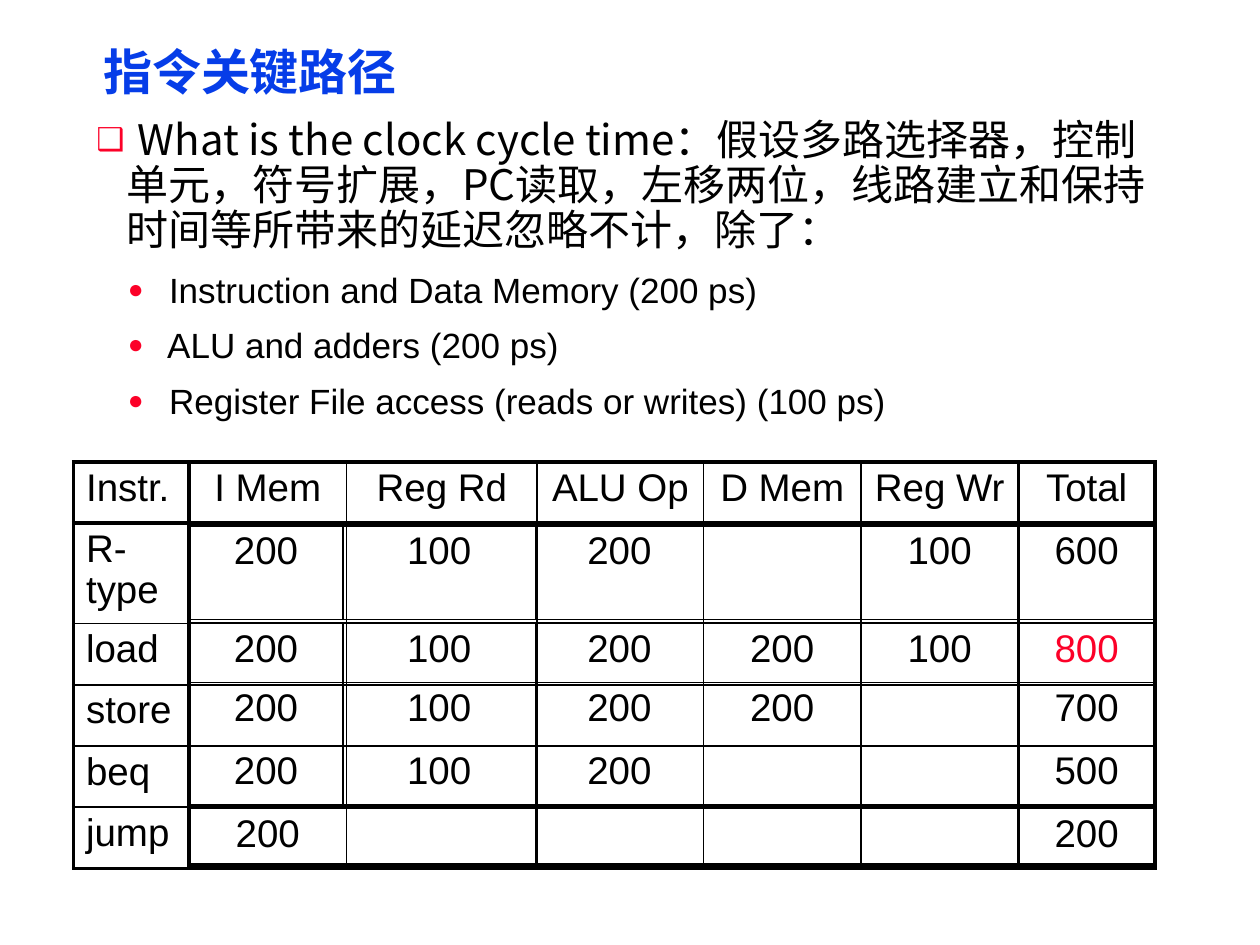
import dataclasses

import lxml.etree
import pptx
import pptx.dml.color
import pptx.enum.text
import pptx.oxml.ns
import pptx.util

Pt = pptx.util.Pt
qn = pptx.oxml.ns.qn


@dataclasses.dataclass(frozen=True)
class Theme:
    blue: str = "063DE8"
    red: str = "FC0128"
    black: str = "000000"
    latin: str = "Arial"
    cjk: str = "Noto Sans CJK SC"
    title: int = 28
    body: int = 24
    bullet: int = 20
    cell: int = 22
    thin: float = 1
    thick: float = 2.25


class SlideBuilder:
    def __init__(self, s, theme):
        self.s = s
        self.theme = theme

    def style_run(self, r, size, color, font=None, bold=False):
        r.font.size = Pt(size)
        r.font.bold = bold
        r.font.name = font or self.theme.latin
        r.font.color.rgb = pptx.dml.color.RGBColor.from_string(color)
        ea = lxml.etree.SubElement(r.font._element, qn("a:ea"))
        ea.set("typeface", self.theme.cjk)

    def text_box(self, left, top, width, height, insets):
        """Insets are left, top, right, bottom."""
        tf = self.s.shapes.add_textbox(Pt(left), Pt(top), Pt(width), Pt(height)).text_frame
        tf.word_wrap = True
        tf.margin_left, tf.margin_top, tf.margin_right, tf.margin_bottom = map(Pt, insets)
        return tf

    def bullet(self, p, char, margin, hang):
        pPr = p._p.get_or_add_pPr()
        pPr.set("marL", str(Pt(margin)))
        pPr.set("indent", str(-Pt(hang)))
        color = lxml.etree.SubElement(pPr, qn("a:buClr"))
        lxml.etree.SubElement(color, qn("a:srgbClr")).set("val", self.theme.red)
        lxml.etree.SubElement(pPr, qn("a:buSzPct")).set("val", "75000")
        lxml.etree.SubElement(pPr, qn("a:buFont")).set("typeface", self.theme.latin)
        lxml.etree.SubElement(pPr, qn("a:buChar")).set("char", char)

    def title(self, text):
        t = self.theme
        tf = self.text_box(54, 24, 618, 33.5, (5, 4, 5, 2))
        tf.text = text
        p = tf.paragraphs[0]
        p.line_spacing = Pt(29.2)
        self.style_run(p.runs[0], t.title, t.blue, bold=True)

    def body(self, question, delays):
        t = self.theme
        tf = self.text_box(48, 62, 618, 183.5, (7.2, 6.2, 7.2, 3.6))
        p = tf.paragraphs[0]
        p.line_spacing = Pt(25.7)
        self.bullet(p, "❑", 17, 17)
        for text, font in ((" ", t.latin), (question, t.cjk)):
            r = p.add_run()
            r.text = text
            self.style_run(r, t.body, t.black, font)
        for delay in delays:
            p = tf.add_paragraph()
            p.text = " " + delay
            p.level = 1
            p.line_spacing = 0.85
            p.space_before = Pt(11.5)
            self.bullet(p, "●", 36, 18)
            self.style_run(p.runs[0], t.bullet, t.black)

    def border(self, cell, side, width):
        ln = lxml.etree.SubElement(cell._tc.get_or_add_tcPr(), qn("a:ln" + side))
        ln.set("w", str(Pt(width)))
        fill = lxml.etree.SubElement(ln, qn("a:solidFill"))
        lxml.etree.SubElement(fill, qn("a:srgbClr")).set("val", self.theme.black)

    def table(self, left, top, cols, heights, rows, thick_x, thick_y,
              left_cols=0, red_text=None):
        """thick_x and thick_y number the heavy grid lines, counted from 0."""
        t = self.theme
        table = self.s.shapes.add_table(len(rows), len(cols), Pt(left), Pt(top),
                                        Pt(sum(cols)), Pt(sum(heights))).table
        table.first_row = table.horz_banding = False
        for column, width in zip(table.columns, cols):
            column.width = Pt(width)
        for row, height in zip(table.rows, heights):
            row.height = Pt(height)
        for y, texts in enumerate(rows):
            for x, text in enumerate(texts):
                cell = table.cell(y, x)
                for side, line, thick in (("L", x, thick_x), ("R", x + 1, thick_x),
                                          ("T", y, thick_y), ("B", y + 1, thick_y)):
                    self.border(cell, side, t.thick if line in thick else t.thin)
                cell.fill.background()
                if not text:
                    continue
                cell.text_frame.text = text
                p = cell.text_frame.paragraphs[0]
                p.line_spacing = 0.95
                if x >= left_cols:
                    p.alignment = pptx.enum.text.PP_ALIGN.CENTER
                self.style_run(p.runs[0], t.cell, t.red if text == red_text else t.black)


HEADERS = ["Instr.", "I Mem", "Reg Rd", "ALU Op", "D Mem", "Reg Wr", "Total"]
STAGE_COLS = [88, 110, 96, 90, 90, 78]
# instruction, top and height of its timing row, stage times and total
TIMINGS = [
    ("R-type", 300, 54, ["200", "100", "200", "", "100", "600"]),
    ("load", 356, 34, ["200", "100", "200", "200", "100", "800"]),
    ("store", 390, 36, ["200", "100", "200", "200", "", "700"]),
    ("beq", 426, 34, ["200", "100", "200", "", "", "500"]),
    ("jump", 462, 32.4, ["200", "", "", "", "", "200"]),
]


def main():
    prs = pptx.Presentation()
    prs.slide_width, prs.slide_height = Pt(720), Pt(540)
    b = SlideBuilder(prs.slides.add_slide(prs.slide_layouts[6]), Theme())

    b.title("指令关键路径")
    names = [[name] + [""] * 6 for name, *_ in TIMINGS]
    b.table(42, 264, [66, 90, 109, 95, 90, 90, 78], [35, 55.4, 35, 35, 35, 35],
            [HEADERS] + names, {0, 1, 6, 7}, {0, 1, 6}, left_cols=1)
    for name, top, height, times in TIMINGS:
        cols = [90, 108] + STAGE_COLS[2:] if name == "jump" else STAGE_COLS
        thick_y = {"R-type": {0}, "jump": {1}}.get(name, set())
        b.table(108, top, cols, [height], [times], {0, 5, 6}, thick_y, red_text="800")
    b.body("What is the clock cycle time：假设多路选择器，控制单元，符号扩展，PC读取，"
           "左移两位，线路建立和保持时间等所带来的延迟忽略不计，除了：",
           ["Instruction and Data Memory (200 ps)",
            "ALU and adders (200 ps)",
            "Register File access (reads or writes) (100 ps)"])
    prs.save("out.pptx")


if __name__ == "__main__":
    main()
